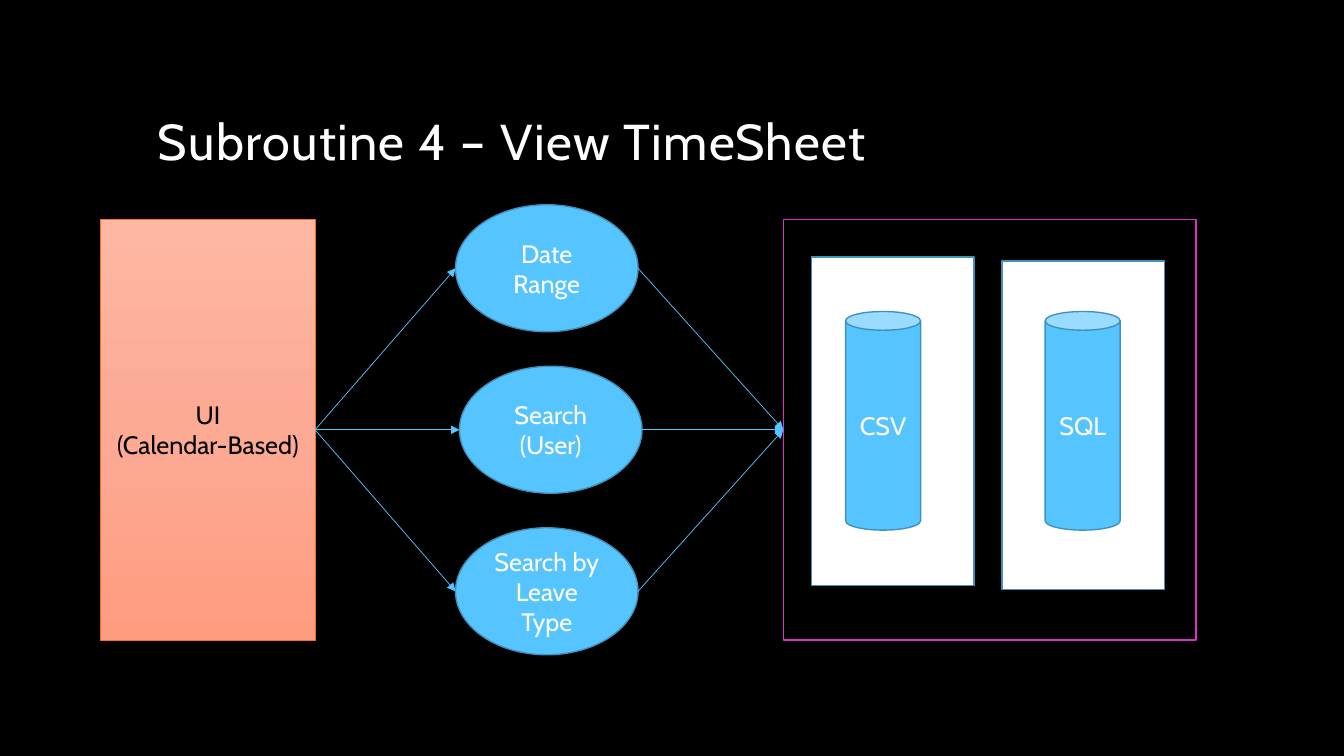
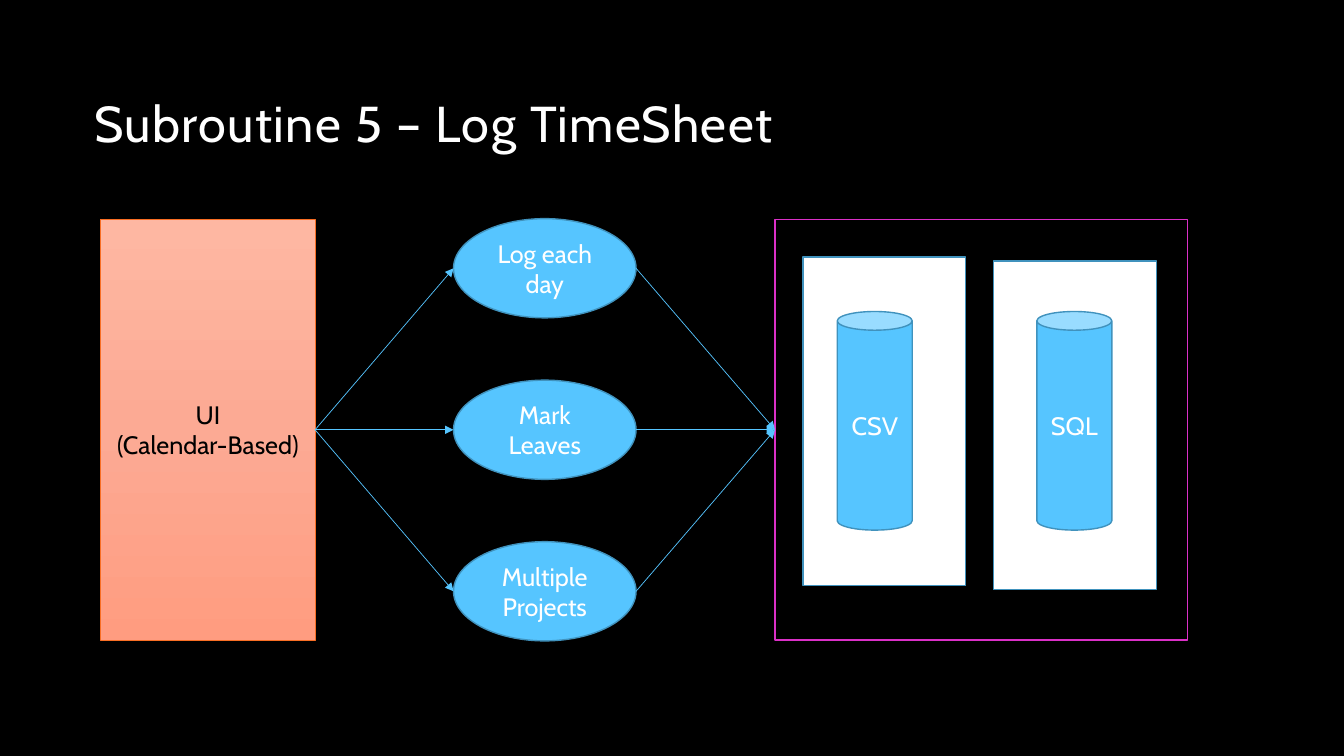
from copy import deepcopy

from pptx import Presentation
from pptx import util as u
from pptx.dml.color import RGBColor
from pptx.enum import shapes, text
from pptx.oxml.ns import qn
from lxml import etree

BLACK = RGBColor(0x00, 0x00, 0x00)
WHITE = RGBColor(0xFF, 0xFF, 0xFF)
BLUE = RGBColor(0x56, 0xC5, 0xFF)
BLUE_EDGE = RGBColor(0x40, 0x92, 0xBD)
MAGENTA = RGBColor(0xDB, 0x30, 0xC7)
ORANGE = RGBColor(0xF8, 0x6E, 0x24)
CORAL_STOPS = (
    (0, RGBColor(0xFE, 0xB7, 0xA2)),
    (0.5, RGBColor(0xFC, 0xAA, 0x94)),
    (1, RGBColor(0xFF, 0x9C, 0x80)),
)
FONT = "Cabin"

MIDDLE = u.Cm(10.83)
BLOCK_H = u.Cm(10.6)
BLOCK_TOP = MIDDLE - BLOCK_H // 2
OVAL_W = u.Cm(4.6)
OVAL_PITCH = u.Cm(4.07)
STORES = (("SQL", u.Cm(5.51), u.Cm(6.58)), ("CSV", u.Cm(0.71), u.Cm(6.48)))


def write(sp, lines, size, color, align):
    tf = sp.text_frame
    tf.word_wrap = True
    tf.text = "\n".join(lines)
    for p in tf.paragraphs:
        p.alignment = align
        p.font.name = FONT
        p.font.size = u.Pt(size)
        p.font.color.rgb = color
    return tf


def add_title(s, title, left, top):
    sp = s.shapes.add_textbox(left, top, u.Cm(25.4), u.Cm(3.81))
    tf = write(sp, [title], 36, WHITE, text.PP_ALIGN.LEFT)
    tf.vertical_anchor = text.MSO_ANCHOR.BOTTOM
    p = tf.paragraphs[0]
    p.line_spacing = 0.9
    p.runs[0].font._element.set("spc", "100")


def add_box(parent, kind, left, top, width, height, fill=None,
            edge=BLUE_EDGE, weight=1, lines=(), color=WHITE):
    sp = parent.add_shape(kind, left, top, width, height)
    sp.shadow.inherit = False
    if fill is None:
        sp.fill.background()
    else:
        sp.fill.solid()
        sp.fill.fore_color.rgb = fill
    sp.line.color.rgb = edge
    sp.line.width = u.Pt(weight)
    if lines:
        tf = write(sp, lines, 18, color, text.PP_ALIGN.CENTER)
        tf.vertical_anchor = text.MSO_ANCHOR.MIDDLE
    return sp


def add_ui(s):
    sp = add_box(s.shapes, shapes.MSO_SHAPE.RECTANGLE, u.Cm(2.54), BLOCK_TOP,
                 u.Cm(5.4), BLOCK_H, edge=ORANGE, weight=0.5,
                 lines=("UI", "(Calendar-Based)"), color=BLACK)
    sp.fill.gradient()
    sp.fill.gradient_angle = 270
    stops = sp._element.spPr.find(".//" + qn("a:gsLst"))
    stops.insert(1, deepcopy(stops[0]))
    for stop, (position, color) in zip(sp.fill.gradient_stops, CORAL_STOPS):
        stop.position = position
        stop.color.rgb = color
    return sp


def add_storage(s, left):
    group = s.shapes.add_group_shape().shapes
    frame = add_box(group, shapes.MSO_SHAPE.RECTANGLE, left, BLOCK_TOP,
                    u.Cm(10.4), BLOCK_H, edge=MAGENTA)
    for name, offset, top in STORES:
        x = left + offset
        add_box(group, shapes.MSO_SHAPE.RECTANGLE, x, top,
                u.Cm(4.1), u.Cm(8.28), fill=WHITE)
        can_inset = u.Cm(1.09) if name == "SQL" else u.Cm(0.86)
        add_box(group, shapes.MSO_SHAPE.CAN, x + can_inset, u.Cm(7.85),
                u.Cm(1.89), u.Cm(5.51), fill=BLUE, lines=(name,))
    return frame


def add_ovals(s, left, height, labels, middle_shift):
    ovals = []
    for i, label in enumerate(labels):
        x = left + (middle_shift if i == 1 else 0)
        y = MIDDLE + (i - 1) * OVAL_PITCH - height // 2
        ovals.append(add_box(s.shapes, shapes.MSO_SHAPE.OVAL, x, y, OVAL_W,
                             height, fill=BLUE, lines=(label,)))
    return ovals


def add_arrow(s, x1, y1, x2, y2):
    cxn = s.shapes.add_connector(shapes.MSO_CONNECTOR.STRAIGHT, x1, y1, x2, y2)
    cxn.line.color.rgb = BLUE
    cxn.line.width = u.Pt(0.5)
    etree.SubElement(cxn.line._get_or_add_ln(), qn("a:tailEnd"), type="triangle")
    etree.SubElement(cxn._element.spPr, qn("a:effectLst"))
    return cxn


def add_flow(s, ui, ovals, frame):
    for oval in ovals:
        y = oval.top + oval.height // 2
        add_arrow(s, ui.left + ui.width, MIDDLE, oval.left, y).begin_connect(ui, 3)
    for oval in ovals:
        y = oval.top + oval.height // 2
        add_arrow(s, oval.left + oval.width, y, frame.left, MIDDLE).end_connect(frame, 1)


def add_subroutine(prs, title, title_left, title_top, labels, oval_left,
                   oval_height, storage_left, middle_shift=0):
    s = prs.slides.add_slide(prs.slide_layouts[6])
    s.background.fill.solid()
    s.background.fill.fore_color.rgb = BLACK
    add_title(s, title, title_left, title_top)
    frame = add_storage(s, storage_left)
    ui = add_ui(s)
    ovals = add_ovals(s, oval_left, oval_height, labels, middle_shift)
    add_flow(s, ui, ovals, frame)


def main():
    prs = Presentation()
    prs.slide_width = u.Cm(33.87)
    prs.slide_height = u.Cm(19.05)
    add_subroutine(prs, "Subroutine 4 – View TimeSheet", u.Cm(3.73), u.Cm(0.64),
                   ("Date Range", "Search (User)", "Search by Leave Type"),
                   u.Cm(11.48), u.Cm(3.2), u.Cm(19.74), middle_shift=u.Cm(0.1))
    add_subroutine(prs, "Subroutine 5 – Log TimeSheet", u.Cm(2.13), u.Cm(0.18),
                   ("Log each day", "Mark Leaves", "Multiple Projects"),
                   u.Cm(11.43), u.Cm(2.5), u.Cm(19.53))
    prs.save("out.pptx")


if __name__ == "__main__":
    main()
